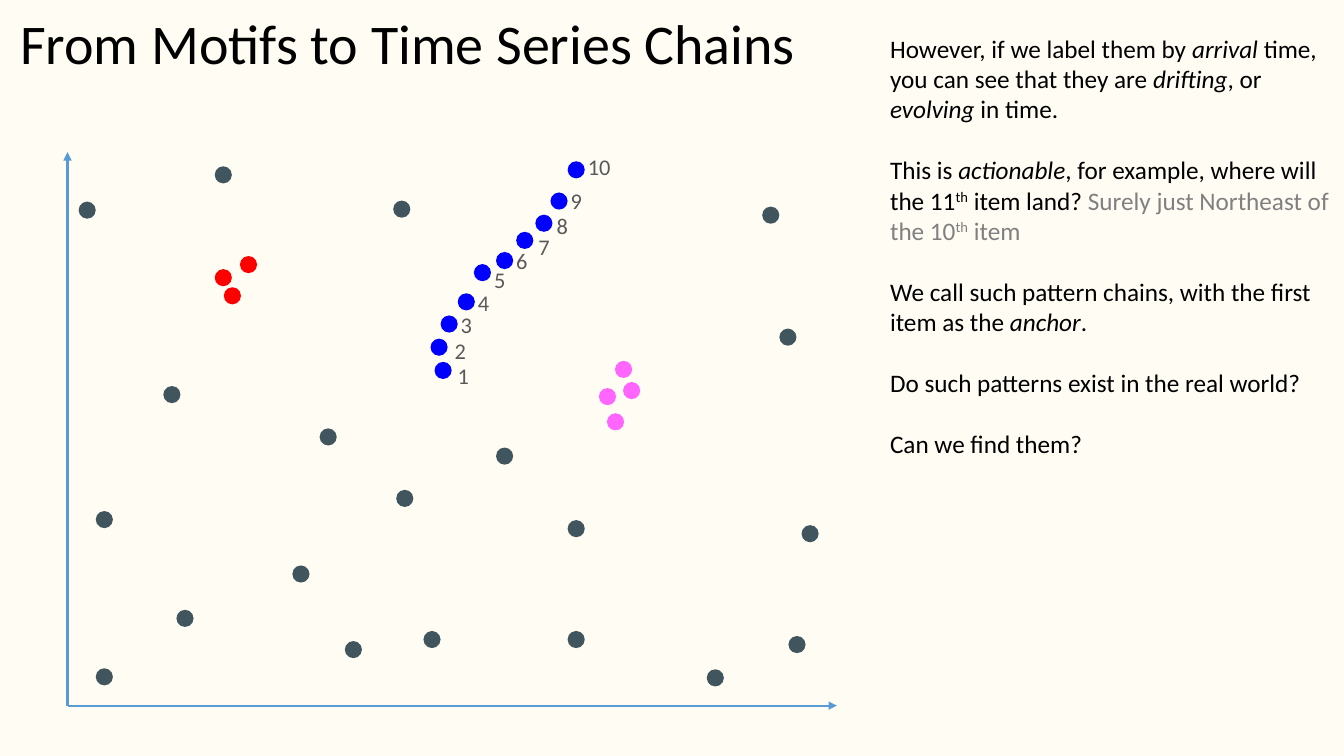
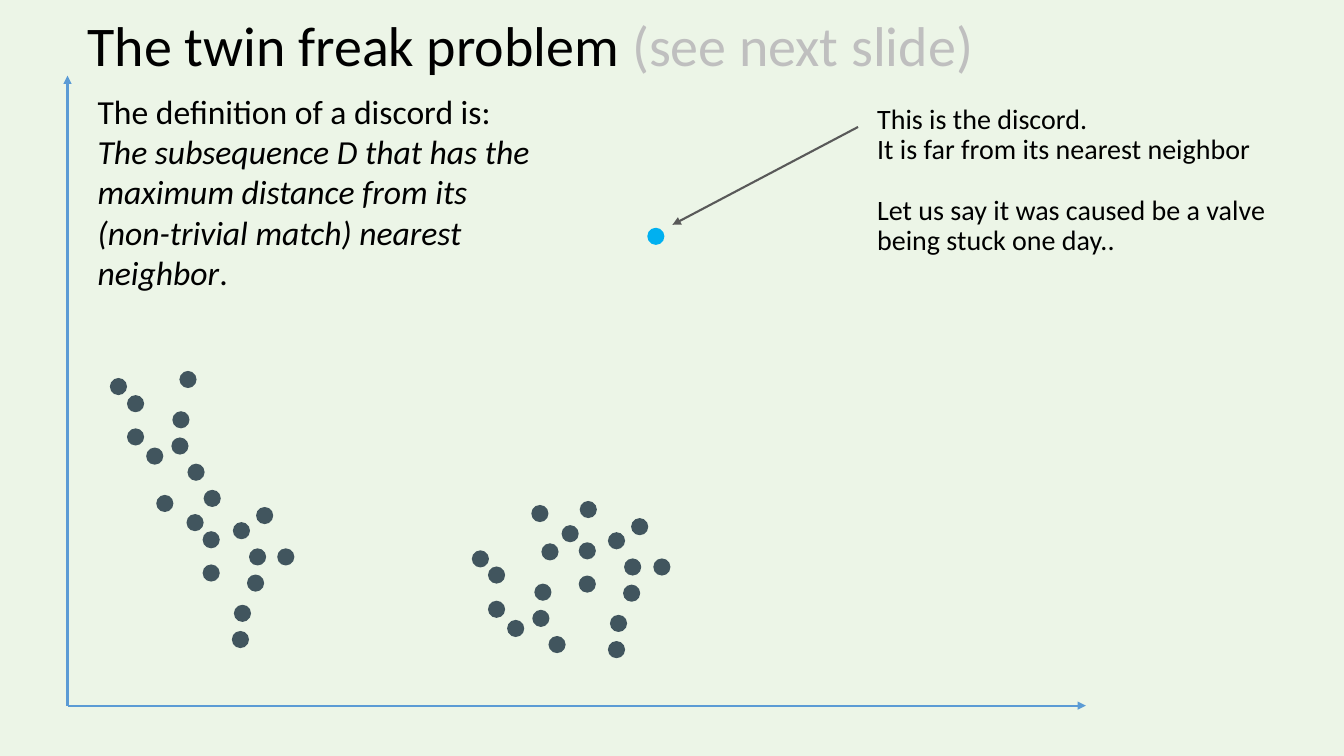
import pptx
import pptx.dml.color
import pptx.enum.shapes
import pptx.enum.text
import pptx.oxml.ns
import pptx.util
from lxml import etree

Inches, Pt = pptx.util.Inches, pptx.util.Pt
RGB = pptx.dml.color.RGBColor
CREAM, MINT = RGB(0xFF, 0xFC, 0xF3), RGB(0xEC, 0xF5, 0xE7)
BLACK, DARK_GRAY, GRAY, LIGHT_GRAY = (RGB(v, v, v) for v in (0, 0x59, 0x80, 0xBF))
SLATE, AXIS = RGB(0x41, 0x55, 0x5E), RGB(0x5B, 0x9B, 0xD5)
RED, BLUE, PINK, SKY = RGB(255, 0, 0), RGB(0, 0, 255), RGB(255, 0x66, 255), RGB(0, 0xB0, 0xF0)
FONT = "Calibri"
DOT = 0.17
GAP = 22
ITALIC = {"italic": True}
SUPER = {"superscript": True}
MUTED = {"color": GRAY}

CHAIN_NOTES = [
    [("However, if we label them by ", {}), ("arrival", ITALIC),
     (" time, you can see that they are ", {}), ("drifting", ITALIC),
     (", or ", {}), ("evolving", ITALIC), (" in time.", {})],
    [("This is ", {}), ("actionable", ITALIC),
     (", for example, where will the 11", {}), ("th", SUPER), (" item land? ", {}),
     ("Surely just Northeast of the 10", MUTED), ("th", MUTED | SUPER), (" item", MUTED)],
    [("We call such pattern chains, with the first item as the ", {}),
     ("anchor", ITALIC), (".", {})],
    [("Do such patterns exist in the real world?", {})],
    [("Can we find them?", {})],
]
DISCORD_NOTES = [
    [("This is the discord.", {})],
    [("It is far from its nearest neighbor", {})],
    [("Let us say it was caused be a valve", {})],
    [("being stuck one day..", {})],
]
DEFINITION = [
    [("The definition of a discord is: ", {}),
     ("The subsequence D that has the maximum distance from its "
      "(non-trivial match) nearest neighbor", ITALIC), (".", {})],
]

SCATTERED = [
    (0.78, 2), (3.17, 4.25), (2.13, 1.65), (0.95, 5.07), (1.62, 3.83), (0.95, 6.63),
    (3.9, 1.99), (3.93, 4.86), (3.42, 6.36), (4.2, 6.26), (1.75, 6.05), (2.9, 5.61),
    (7.56, 2.05), (5.63, 6.26), (7.01, 6.64), (7.82, 6.31), (7.95, 5.21), (4.92, 4.44),
    (7.73, 3.26), (5.63, 5.16),
]
RED_MOTIF = [(2.13, 2.67), (2.38, 2.54), (2.22, 2.85)]
PINK_MOTIF = [(6.18, 3.79), (6.1, 3.58), (6.02, 4.1), (5.94, 3.85)]
CHAIN = [
    (4.31, 3.59), (4.27, 3.36), (4.37, 3.13), (4.54, 2.91), (4.7, 2.62),
    (4.92, 2.5), (5.12, 2.3), (5.31, 2.13), (5.46, 1.91), (5.63, 1.6),
]
CHAIN_LABELS = [
    (4.54, 3.59), (4.51, 3.34), (4.57, 3.09), (4.74, 2.87), (4.9, 2.64),
    (5.12, 2.45), (5.34, 2.31), (5.52, 2.1), (5.66, 1.86), (5.83, 1.52),
]
LEFT_CLUSTER = [
    (1.09, 3.75), (1.26, 3.92), (1.26, 4.25), (2.31, 5.18), (1.71, 4.08), (1.78, 3.68),
    (1.55, 4.91), (1.7, 4.34), (1.86, 4.6), (2.02, 4.86), (1.85, 5.1), (2.01, 5.27),
    (2.01, 5.6), (2.75, 5.44), (2.47, 5.44), (2.54, 5.03), (2.3, 6.26), (2.45, 5.7),
    (1.45, 4.44), (2.32, 6),
]
RIGHT_CLUSTER = [
    (4.68, 5.46), (4.84, 5.62), (4.84, 5.96), (6.03, 5.28), (5.3, 5.79), (5.37, 5.39),
    (5.27, 5.01), (5.28, 6.05), (5.44, 6.31), (5.75, 4.97), (5.57, 5.21), (5.74, 5.38),
    (5.74, 5.71), (6.48, 5.54), (6.19, 5.54), (6.26, 5.14), (6.03, 6.36), (6.18, 5.8),
    (5.03, 6.15), (6.05, 6.1),
]
DISCORD = [(6.42, 2.26)]


def add_run(p, text, size, color=BLACK, italic=False, superscript=False):
    r = p.add_run()
    r.text = text
    r.font.name, r.font.size, r.font.italic = FONT, Pt(size), italic
    r.font.color.rgb = color
    if superscript:
        r._r.get_or_add_rPr().set("baseline", "30000")


def fill_text(tf, paragraphs, size, margins=(0, 0), spacing=1, gaps=()):
    tf.word_wrap = True
    tf.auto_size = pptx.enum.text.MSO_AUTO_SIZE.NONE
    tf.vertical_anchor = pptx.enum.text.MSO_ANCHOR.TOP
    tf.margin_left = tf.margin_right = Inches(margins[0])
    tf.margin_top = tf.margin_bottom = Inches(margins[1])
    for i, runs in enumerate(paragraphs):
        p = tf.add_paragraph() if i else tf.paragraphs[0]
        p.alignment = pptx.enum.text.PP_ALIGN.LEFT
        p.line_spacing = spacing
        p.space_before = Pt(GAP if i in gaps else 0)
        for text, style in runs:
            add_run(p, text, size, **style)


def add_text(s, box, paragraphs, size, **layout):
    sp = s.shapes.add_textbox(*map(Inches, box))
    fill_text(sp.text_frame, paragraphs, size, **layout)


def add_dots(s, points, color):
    for x, y in points:
        sp = s.shapes.add_shape(pptx.enum.shapes.MSO_SHAPE.OVAL,
                                Inches(x), Inches(y), Inches(DOT), Inches(DOT))
        sp.shadow.inherit = False
        sp.fill.solid()
        sp.fill.fore_color.rgb = color
        sp.line.fill.background()


def add_arrow(s, start, end, color):
    line = s.shapes.add_connector(pptx.enum.shapes.MSO_CONNECTOR.STRAIGHT,
                                  *map(Inches, start + end))
    line.line.color.rgb = color
    line.line.width = Pt(1.5)
    qn = pptx.oxml.ns.qn
    etree.SubElement(line.line._get_or_add_ln(), qn("a:tailEnd"), type="triangle")
    etree.SubElement(line._element.spPr, qn("a:effectLst"))


def add_plot_slide(prs, background, title_at, title, axis_right, axis_top):
    s = prs.slides.add_slide(prs.slide_layouts[5])
    s.background.fill.solid()
    s.background.fill.fore_color.rgb = background
    sp = s.shapes.title
    sp.left, sp.top, sp.width, sp.height = map(Inches, title_at + (10.55, 0.6))
    fill_text(sp.text_frame, [title], 40, spacing=0.9)
    origin = (0.67, 7)
    add_arrow(s, origin, (axis_right, 7), AXIS)
    add_arrow(s, origin, (0.67, axis_top), AXIS)
    return s


def build_chains(prs):
    s = add_plot_slide(prs, CREAM, (0.2, 0.16),
                       [("From Motifs to Time Series Chains", {})], 8.3, 1.51)
    for points, color in ((SCATTERED, SLATE), (RED_MOTIF, RED), (PINK_MOTIF, PINK), (CHAIN, BLUE)):
        add_dots(s, points, color)
    for number, (x, y) in enumerate(CHAIN_LABELS, 1):
        add_text(s, (x, y, 0.33, 0.28), [[(str(number), {"color": DARK_GRAY})]], 16)
    add_text(s, (8.73, 0.28, 4.63, 4.64), CHAIN_NOTES, 18,
             margins=(0.1, 0.05), gaps=range(1, len(CHAIN_NOTES)))


def build_twin_freak(prs):
    s = add_plot_slide(prs, MINT, (0.87, 0.18),
                       [("The twin freak problem ", {}),
                        ("(see next slide)", {"color": LIGHT_GRAY})], 10.77, 0.75)
    add_dots(s, LEFT_CLUSTER + RIGHT_CLUSTER, SLATE)
    add_dots(s, DISCORD, SKY)
    add_arrow(s, (8.51, 1.26), (6.67, 2.23), DARK_GRAY)
    add_text(s, (8.7, 1.04, 4.73, 1.96), DISCORD_NOTES, 20, spacing=0.9, gaps=(2,))
    add_text(s, (0.87, 0.85, 4.57, 2.12), DEFINITION, 24, margins=(0.1, 0.05))


def main():
    prs = pptx.Presentation()
    prs.slide_width, prs.slide_height = Inches(13.33), Inches(7.5)
    build_chains(prs)
    build_twin_freak(prs)
    prs.save("out.pptx")


if __name__ == "__main__":
    main()
